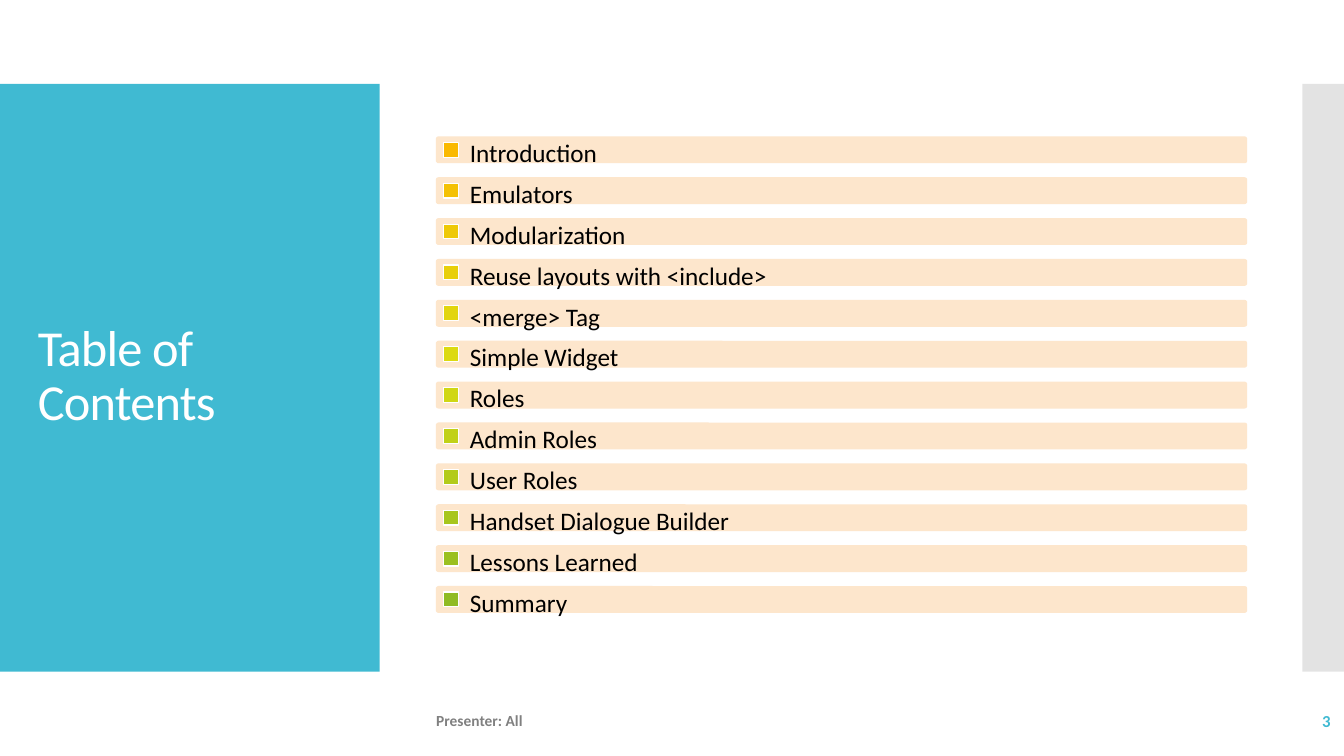
from dataclasses import dataclass

from lxml.etree import SubElement
from pptx import Presentation
from pptx.dml.color import RGBColor
from pptx.enum.shapes import MSO_SHAPE
from pptx.enum.text import MSO_ANCHOR, PP_ALIGN
from pptx.oxml.ns import qn
from pptx.shapes.autoshape import Shape
from pptx.util import Pt

FONT = "Calibri"
WHITE = RGBColor(0xFF, 0xFF, 0xFF)
BLACK = RGBColor(0x00, 0x00, 0x00)
TEAL = RGBColor(0x40, 0xBA, 0xD2)
SILVER = RGBColor(0xC8, 0xC8, 0xC8)
GRAY = RGBColor(0x80, 0x80, 0x80)
PEACH = RGBColor(0xFD, 0xE6, 0xCC)

FIRST_ROW_TOP = 97.4
ROW_PITCH = 29.2


@dataclass(frozen=True)
class Area:
    left: float
    top: float
    width: float
    height: float

    def lengths(self) -> tuple[Pt, Pt, Pt, Pt]:
        return Pt(self.left), Pt(self.top), Pt(self.width), Pt(self.height)


@dataclass(frozen=True)
class Topic:
    text: str
    marker: RGBColor


TOPICS = [
    Topic("Introduction", RGBColor(0xFA, 0xB9, 0x00)),
    Topic("Emulators", RGBColor(0xF4, 0xC1, 0x04)),
    Topic("Modularization", RGBColor(0xEE, 0xC9, 0x07)),
    Topic("Reuse layouts with <include>", RGBColor(0xE8, 0xCF, 0x0A)),
    Topic("<merge> Tag", RGBColor(0xE2, 0xD5, 0x0E)),
    Topic("Simple Widget", RGBColor(0xDC, 0xDA, 0x11)),
    Topic("Roles", RGBColor(0xD0, 0xD7, 0x14)),
    Topic("Admin Roles", RGBColor(0xC1, 0xD1, 0x17)),
    Topic("User Roles", RGBColor(0xB3, 0xCB, 0x1A)),
    Topic("Handset Dialogue Builder", RGBColor(0xA7, 0xC6, 0x1D)),
    Topic("Lessons Learned", RGBColor(0x9B, 0xC0, 0x20)),
    Topic("Summary", RGBColor(0x90, 0xBB, 0x23)),
]


def add_block(shapes, area: Area, fill: RGBColor, *,
              kind: MSO_SHAPE = MSO_SHAPE.RECTANGLE,
              line: RGBColor | None = None) -> Shape:
    block = shapes.add_shape(kind, *area.lengths())
    block.shadow.inherit = False
    block.fill.solid()
    block.fill.fore_color.rgb = fill
    if line is None:
        block.line.fill.background()
    else:
        block.line.color.rgb = line
        block.line.width = Pt(0.85)
    return block


def add_text(shapes, area: Area, text: str, *, size: float, color: RGBColor,
             bold: bool = False, align: PP_ALIGN = PP_ALIGN.LEFT,
             inset: float | None = None, line_spacing: float | None = None,
             tracking: float | None = None) -> Shape:
    box = shapes.add_textbox(*area.lengths())
    frame = box.text_frame
    frame.word_wrap = True
    frame.vertical_anchor = MSO_ANCHOR.MIDDLE
    if inset is not None:
        frame.margin_left = frame.margin_right = Pt(inset)
        frame.margin_top = frame.margin_bottom = Pt(inset)
    para = frame.paragraphs[0]
    para.alignment = align
    if line_spacing is not None:
        para.line_spacing = line_spacing
    span = para.add_run()
    span.text = text
    span.font.name = FONT
    span.font.size = Pt(size)
    span.font.bold = bold
    span.font.color.rgb = color
    if tracking is not None:
        span._r.get_or_add_rPr().set("spc", str(round(tracking * 100)))
    return box


def set_opacity(block: Shape, percent: int) -> None:
    color = block._element.spPr.find(qn("a:solidFill")).find(qn("a:srgbClr"))
    SubElement(color, qn("a:alpha")).set("val", str(percent * 1000))


def add_topic(page, topic: Topic, top: float) -> None:
    shapes = page.shapes.add_group_shape().shapes
    bar = add_block(shapes, Area(311.3, top, 579.6, 19.2), PEACH,
                    kind=MSO_SHAPE.ROUNDED_RECTANGLE)
    bar.adjustments[0] = 0.1
    add_block(shapes, Area(316.9, top + 4.3, 10.6, 10.6), topic.marker,
              line=WHITE)
    add_text(shapes, Area(333.4, top, 555, 23), topic.text, size=18,
             color=BLACK, inset=2.2)


def main() -> None:
    deck = Presentation()
    deck.slide_width, deck.slide_height = Pt(960), Pt(540)
    page = deck.slides.add_slide(deck.slide_layouts[6])

    # Side panels
    add_block(page.shapes, Area(0, 60, 271.2, 419.8), TEAL)
    edge = add_block(page.shapes, Area(930.2, 60, 29.8, 419.8), SILVER)
    set_opacity(edge, 50)

    # Title
    add_text(page.shapes, Area(20, 88.5, 232, 362), "Table of Contents",
             size=36, color=WHITE, line_spacing=0.9, tracking=-0.6)

    # Topic rows
    for index, topic in enumerate(TOPICS):
        add_topic(page, topic, FIRST_ROW_TOP + index * ROW_PITCH)

    # Footer
    add_text(page.shapes, Area(304.5, 500.5, 465, 28.8), "Presenter: All",
             size=11, color=GRAY, bold=True)
    add_text(page.shapes, Area(837.5, 500.5, 120, 28.8), "3",
             size=12, color=TEAL, bold=True, align=PP_ALIGN.RIGHT)

    deck.save("out.pptx")


if __name__ == "__main__":
    main()
